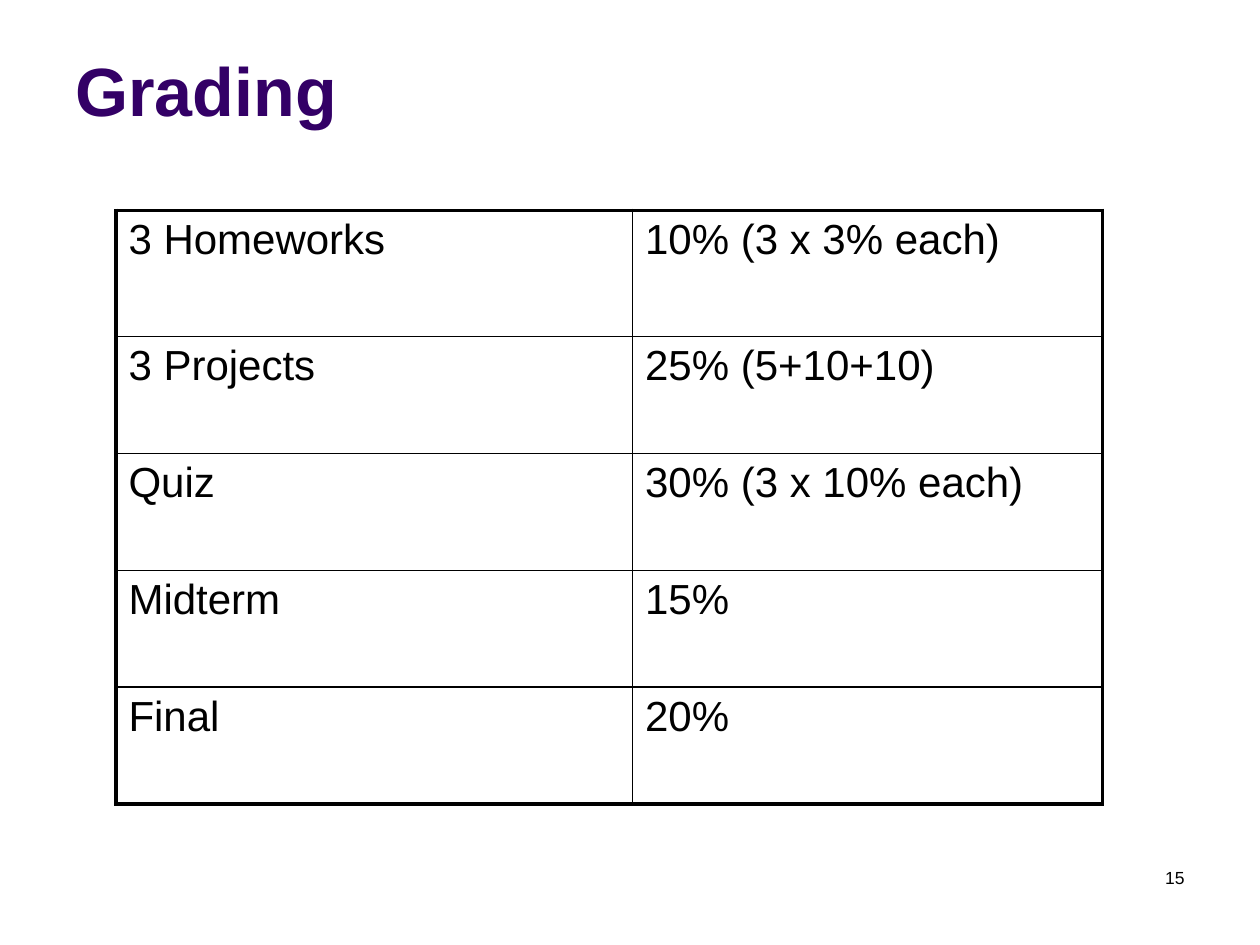
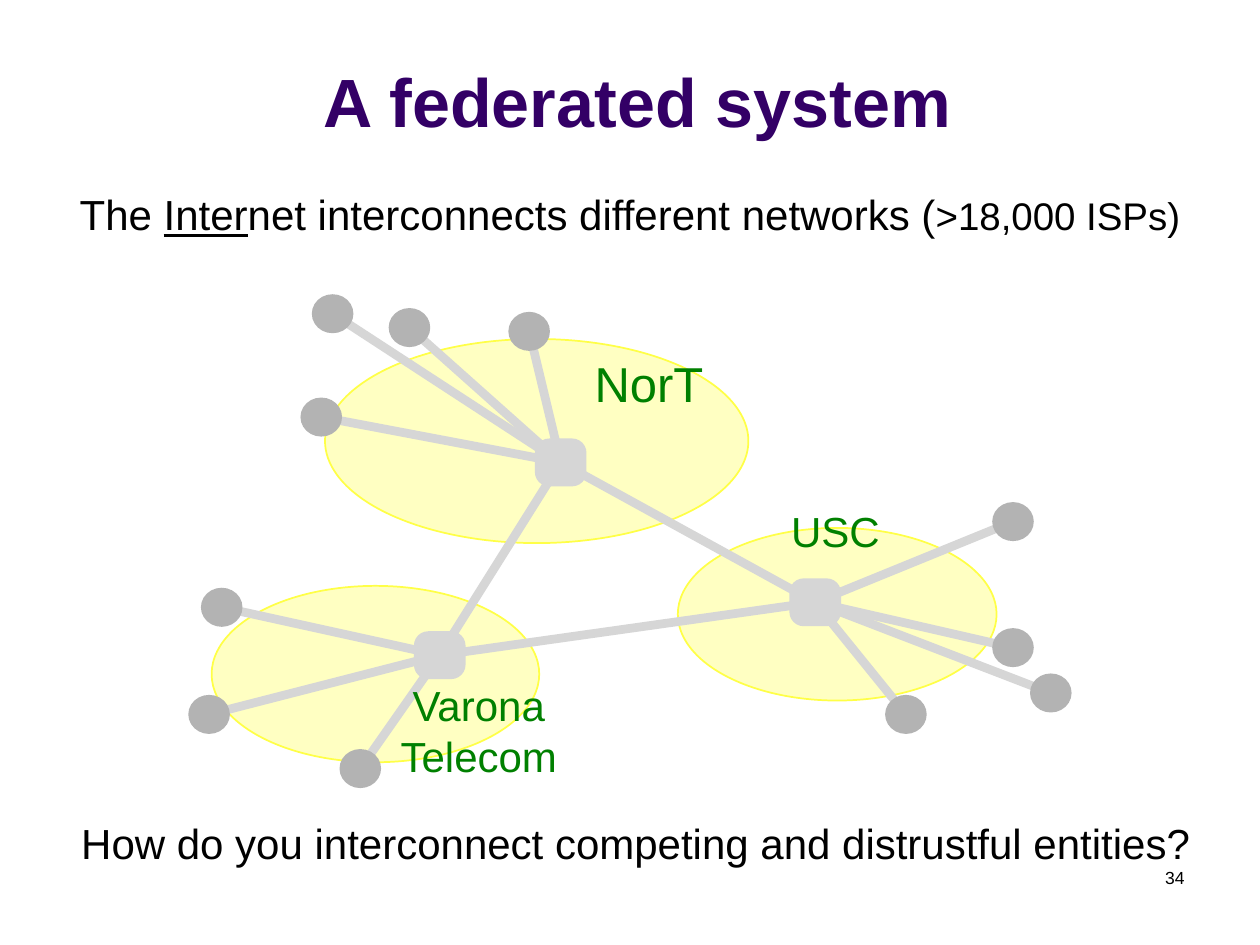
from dataclasses import dataclass
from itertools import combinations
from typing import NamedTuple

from lxml.etree import SubElement
from pptx import Presentation
from pptx.dml.color import RGBColor
from pptx.enum.shapes import MSO_CONNECTOR as Connector, MSO_SHAPE as Preset
from pptx.enum.text import MSO_ANCHOR as Anchor, PP_ALIGN as Align
from pptx.oxml import parse_xml
from pptx.oxml.ns import nsdecls, qn
from pptx.util import Inches, Length, Pt

SLIDE_WIDTH, SLIDE_HEIGHT = Inches(10), Inches(7.5)
GRID_COLUMNS, GRID_ROWS = 100, 75

FONT = "Arial"
PURPLE = RGBColor(0x33, 0x00, 0x66)
BLACK = RGBColor(0x00, 0x00, 0x00)
GREEN = RGBColor(0x00, 0x80, 0x00)
CLOUD_FILL = RGBColor(0xFF, 0xFF, 0xC2)
CLOUD_LINE = RGBColor(0xFF, 0xFF, 0x47)
ROUTER_GRAY = RGBColor(0xD6, 0xD6, 0xD6)
HOST_GRAY = RGBColor(0xB3, 0xB3, 0xB3)

OUTER_BORDER, INNER_BORDER = Pt(2.25), Pt(1)


class Point(NamedTuple):
    column: float
    row: float


class Box(NamedTuple):
    column: float
    row: float
    columns: float
    rows: float

    @classmethod
    def around(cls, center: Point, columns: float, rows: float) -> "Box":
        return cls(center.column - columns / 2, center.row - rows / 2, columns, rows)


class TextStyle(NamedTuple):
    size: float
    color: RGBColor = BLACK
    bold: bool = False
    align: Align = Align.LEFT
    anchor: Anchor = Anchor.TOP
    margins: tuple[float, float] = (1, 0.5)


class Span(NamedTuple):
    text: str
    size: float
    underline: bool = False


@dataclass(frozen=True)
class Network:
    name: str
    name_size: float
    name_box: Box
    cloud: Box
    router: Point
    hosts: tuple[Point, ...]


TITLE = TextStyle(39, PURPLE, bold=True, anchor=Anchor.BOTTOM)
CENTERED_TITLE = TITLE._replace(align=Align.CENTER, anchor=Anchor.TOP)
STATEMENT = TextStyle(24, align=Align.CENTER)
CELL = TextStyle(24)
PAGE_NUMBER = TextStyle(10, align=Align.RIGHT)
NETWORK_NAME = TextStyle(24, GREEN, align=Align.CENTER, anchor=Anchor.MIDDLE,
                         margins=(0.4, 0.4))

GRADES = (
    ("3 Homeworks", "10% (3 x 3% each)"),
    ("3 Projects", "25% (5+10+10)"),
    ("Quiz", "30% (3 x 10% each)"),
    ("Midterm", "15%"),
    ("Final", "20%"),
)
GRADE_COLUMNS = (41, 37.3)
GRADE_ROWS = (10, 9.28, 9.28, 9.28, 9.28)

NETWORKS = (
    Network("USC", 24, Box(57.4, 39.7, 17.8, 4.8), Box(53.8, 41.9, 25.3, 13.7),
            Point(64.7, 47.8),
            (Point(83.4, 55), Point(80.4, 41.4), Point(71.9, 56.7), Point(80.4, 51.4))),
    Network("NorT", 28, Box(42.6, 28, 17.8, 4.8), Box(25.8, 26.9, 33.6, 16.2),
            Point(44.5, 36.7),
            (Point(42, 26.3), Point(25.5, 33.1), Point(26.4, 24.9), Point(32.5, 26))),
    Network("Varona Telecom", 24, Box(29.1, 54.1, 17.8, 7.7), Box(16.8, 46.5, 26, 14),
            Point(34.9, 52),
            (Point(17.6, 48.2), Point(28.6, 61), Point(16.6, 56.7))),
)


def across(columns: float) -> Length:
    return Length(round(SLIDE_WIDTH * columns / GRID_COLUMNS))


def down(rows: float) -> Length:
    return Length(round(SLIDE_HEIGHT * rows / GRID_ROWS))


def place(box: Box) -> tuple[Length, Length, Length, Length]:
    return across(box.column), down(box.row), across(box.columns), down(box.rows)


def style_runs(paragraph, style: TextStyle) -> None:
    paragraph.alignment = style.align
    for run in paragraph.runs:
        run.font.name = FONT
        run.font.size = Pt(style.size)
        run.font.bold = style.bold
        run.font.color.rgb = style.color


def set_margins(target, style: TextStyle) -> None:
    """Apply margins to a text frame or a table cell."""
    side, end = style.margins
    target.margin_left = target.margin_right = across(side)
    target.margin_top = target.margin_bottom = down(end)


def add_text(slide, text: str, box: Box, style: TextStyle):
    text_frame = slide.shapes.add_textbox(*place(box)).text_frame
    text_frame.word_wrap = True
    text_frame.vertical_anchor = style.anchor
    set_margins(text_frame, style)
    text_frame.text = text
    style_runs(text_frame.paragraphs[0], style)
    return text_frame


def add_spans(slide, spans: tuple[Span, ...], box: Box, style: TextStyle) -> None:
    paragraph = add_text(slide, "", box, style).paragraphs[0]
    for span in spans:
        paragraph.add_run().text = span.text
    style_runs(paragraph, style)
    for run, span in zip(paragraph.runs, spans):
        run.font.size = Pt(span.size)
        run.font.underline = span.underline


def add_page_number(slide, number: int) -> None:
    add_text(slide, str(number), Box(71.7, 68.3, 23.3, 5), PAGE_NUMBER)


def set_borders(cell, widths: dict[str, Length]) -> None:
    """Draw black borders; the sides come in the order L, R, T, B."""
    properties = cell._tc.get_or_add_tcPr()
    for index, (side, width) in enumerate(widths.items()):
        properties.insert(index, parse_xml(
            f'<a:ln{side} {nsdecls("a")} w="{width}"><a:solidFill>'
            f'<a:srgbClr val="{BLACK}"/></a:solidFill></a:ln{side}>'))


def add_grade_table(slide) -> None:
    box = Box(9.2, 16.7, sum(GRADE_COLUMNS), sum(GRADE_ROWS))
    table = slide.shapes.add_table(len(GRADES), len(GRADE_COLUMNS), *place(box)).table
    table.first_row = table.horz_banding = False
    for column, width in zip(table.columns, GRADE_COLUMNS):
        column.width = across(width)
    for row, height in zip(table.rows, GRADE_ROWS):
        row.height = down(height)
    last_row, last_column = len(GRADES) - 1, len(GRADE_COLUMNS) - 1
    for row_index, texts in enumerate(GRADES):
        for column_index, text in enumerate(texts):
            cell = table.cell(row_index, column_index)
            cell.text = text
            cell.fill.background()
            set_margins(cell, CELL)
            style_runs(cell.text_frame.paragraphs[0], CELL)
            outer = {"L": column_index == 0, "R": column_index == last_column,
                     "T": row_index == 0, "B": row_index == last_row}
            set_borders(cell, {side: OUTER_BORDER if is_outer else INNER_BORDER
                               for side, is_outer in outer.items()})


def add_solid(slide, preset: Preset, box: Box, fill: RGBColor,
              line: RGBColor | None = None):
    shape = slide.shapes.add_shape(preset, *place(box))
    shape.shadow.inherit = False
    shape.fill.solid()
    shape.fill.fore_color.rgb = fill
    if line is None:
        shape.line.fill.background()
    else:
        shape.line.color.rgb = line
        shape.line.width = Pt(1)
    return shape


def add_link(slide, start: Point, end: Point) -> None:
    link = slide.shapes.add_connector(
        Connector.STRAIGHT, across(start.column), down(start.row),
        across(end.column), down(end.row))
    link.line.color.rgb = ROUTER_GRAY
    link.line.width = Pt(5)
    SubElement(link._element.spPr, qn("a:effectLst"))


def add_networks(slide) -> None:
    """Layer clouds, links, hosts, routers and names from back to front."""
    for network in NETWORKS:
        add_solid(slide, Preset.OVAL, network.cloud, CLOUD_FILL, CLOUD_LINE)
    for network in NETWORKS:
        for host in network.hosts:
            add_link(slide, host, network.router)
    for first, second in combinations(NETWORKS, 2):
        add_link(slide, first.router, second.router)
    for network in NETWORKS:
        for host in network.hosts:
            add_solid(slide, Preset.OVAL, Box.around(host, 3.3, 3.1), HOST_GRAY)
        router = add_solid(slide, Preset.ROUNDED_RECTANGLE,
                           Box.around(network.router, 4.1, 3.8), ROUTER_GRAY)
        router.adjustments[0] = 0.3
    for network in NETWORKS:
        add_text(slide, network.name, network.name_box,
                 NETWORK_NAME._replace(size=network.name_size))


def build_grading(slide) -> None:
    add_text(slide, "Grading", Box(5, 1.3, 90, 9.5), TITLE)
    add_grade_table(slide)
    add_page_number(slide, 15)


def build_federated_system(slide) -> None:
    add_networks(slide)
    add_text(slide, "A federated system", Box(5.6, 4.2, 90, 8), CENTERED_TITLE)
    add_spans(slide, (
        Span("The ", 24),
        Span("Inter", 24, underline=True),
        Span("net interconnects different networks (", 24),
        Span(">18,000 ISPs)", 22),
    ), Box(5, 14.5, 90, 5.1), STATEMENT)
    add_text(slide, "How do you interconnect competing and distrustful entities?",
             Box(1.7, 64.4, 97.5, 5.1), STATEMENT)
    add_page_number(slide, 34)


def main() -> None:
    presentation = Presentation()
    presentation.slide_width, presentation.slide_height = SLIDE_WIDTH, SLIDE_HEIGHT
    blank = presentation.slide_layouts[6]
    for build in (build_grading, build_federated_system):
        build(presentation.slides.add_slide(blank))
    presentation.save("out.pptx")


if __name__ == "__main__":
    main()
